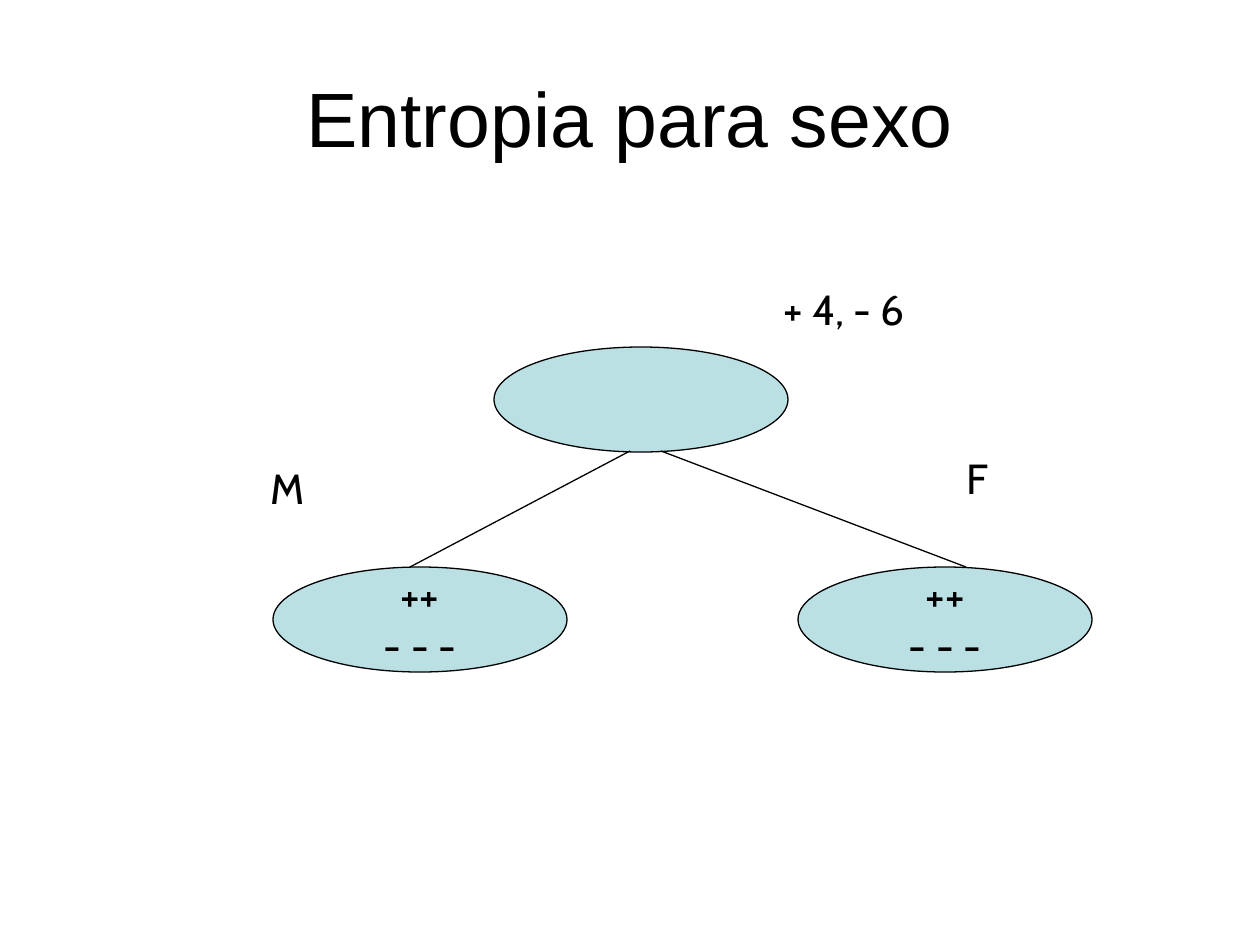
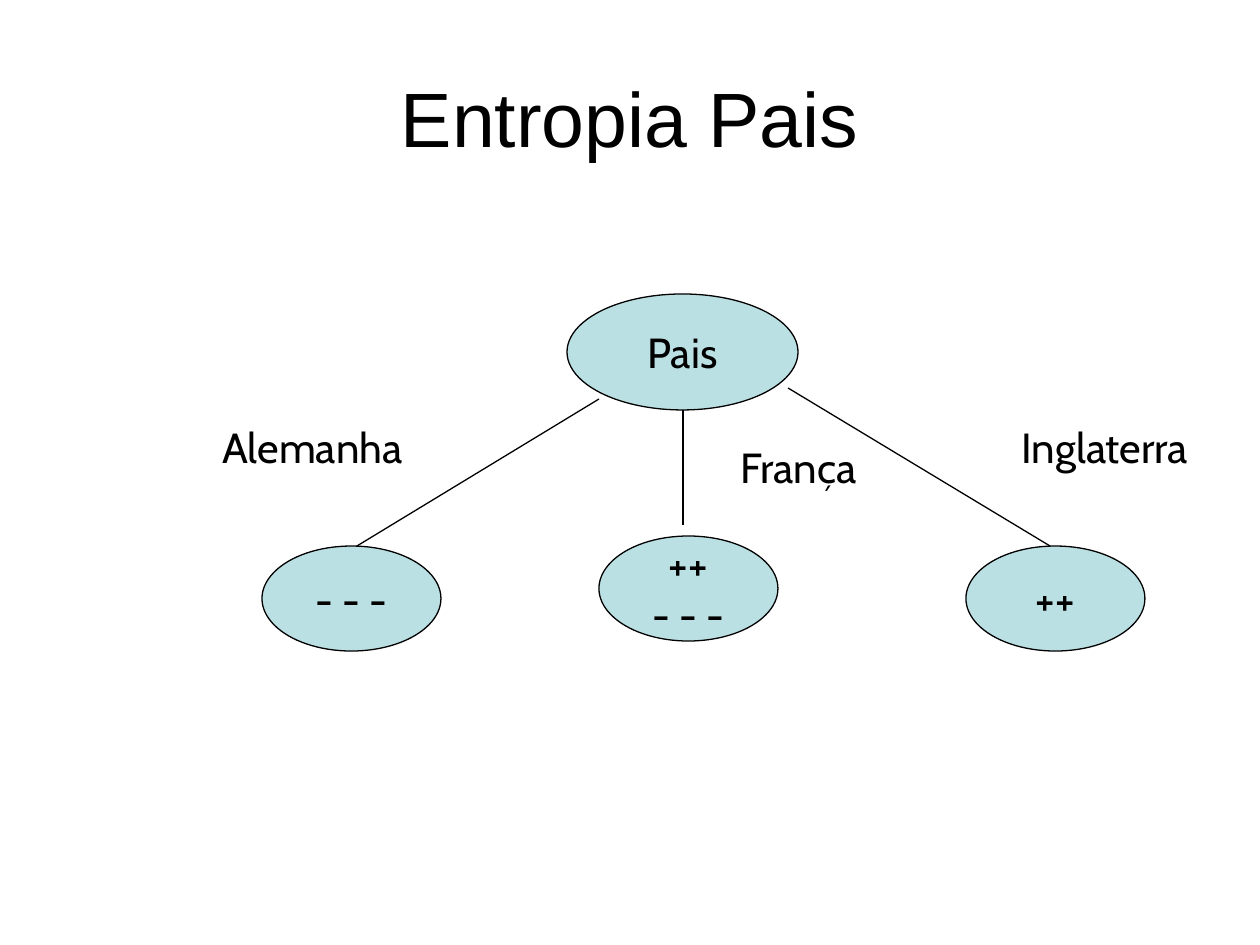
"""Build two slides that show entropy decision trees for sex and country."""
from lxml.etree import SubElement
from pptx import Presentation
from pptx.dml.color import RGBColor
from pptx.enum.shapes import MSO_CONNECTOR as CONNECTOR, MSO_SHAPE as SHAPE
from pptx.enum.text import MSO_ANCHOR as ANCHOR, MSO_AUTO_SIZE as FIT, PP_ALIGN as ALIGN
from pptx.oxml.ns import qn
from pptx.util import Pt

BLACK = "000000"
NODE_FILL = "BBE0E3"
LABEL_HEIGHT = 63


def px(*lengths):
    """Turn whole pixels, 126 to the inch, into EMU."""
    return [length * 914400 // 126 for length in lengths]


def write(shape, lines, align, font_name="Cabin", size=24):
    """Fill a shape with one paragraph per line."""
    frame = shape.text_frame
    frame.text = "\n".join(lines)
    for para in frame.paragraphs:
        para.alignment = align
        para.font.name = font_name
        para.font.size = Pt(size)
        para.font.color.rgb = RGBColor.from_string(BLACK)


trees = [
    {
        "title": "Entropia para sexo",
        "nodes": [
            (494, 347, 294, 105, []),
            (798, 567, 294, 105, ["++", "- - -"]),
            (273, 567, 294, 105, ["++", "- - -"]),
        ],
        "branches": [(630, 451, 410, 567), (661, 451, 966, 567)],
        "labels": [(258, 456, 63, "M"), (954, 446, 47, "F"), (771, 277, 155, "+ 4, - 6")],
    },
    {
        "title": "Entropia Pais",
        "nodes": [
            (567, 294, 231, 116, ["Pais"]),
            (262, 546, 179, 105, ["- - -"]),
            (599, 536, 179, 105, ["++", "- - -"]),
            (966, 546, 179, 105, ["++"]),
        ],
        "branches": [(599, 399, 357, 546), (683, 410, 683, 525), (788, 388, 1050, 546)],
        "labels": [
            (210, 415, 224, "Alemanha"),
            (728, 435, 158, "França"),
            (1009, 415, 223, "Inglaterra"),
        ],
    },
]

deck = Presentation()
deck.slide_width, deck.slide_height = px(1260, 945)

for tree in trees:
    page = deck.slides.add_slide(deck.slide_layouts[5])
    title = page.shapes.title
    title.left, title.top, title.width, title.height = px(63, 38, 1134, 157)
    write(title, [tree["title"]], ALIGN.CENTER, "Arial", 44)
    title.text_frame.vertical_anchor = ANCHOR.MIDDLE
    title.text_frame.auto_size = FIT.NONE

    for left, top, width, height, lines in tree["nodes"]:
        node = page.shapes.add_shape(SHAPE.OVAL, *px(left, top, width, height))
        node.shadow.inherit = False
        node.fill.solid()
        node.fill.fore_color.rgb = RGBColor.from_string(NODE_FILL)
        node.line.color.rgb = RGBColor.from_string(BLACK)
        node.line.width = Pt(0.75)
        if lines:
            write(node, lines, ALIGN.CENTER)
            node.text_frame.vertical_anchor = ANCHOR.MIDDLE
            node.text_frame.word_wrap = False

    for ends in tree["branches"]:
        branch = page.shapes.add_connector(CONNECTOR.STRAIGHT, *px(*ends))
        branch.line.color.rgb = RGBColor.from_string(BLACK)
        branch.line.width = Pt(0.75)
        SubElement(branch._element.spPr, qn("a:effectLst"))

    for left, top, width, text in tree["labels"]:
        label = page.shapes.add_textbox(*px(left, top, width, LABEL_HEIGHT))
        write(label, [text], ALIGN.LEFT)
        label.text_frame.word_wrap = False
        label.text_frame.auto_size = FIT.SHAPE_TO_FIT_TEXT

deck.save("out.pptx")
